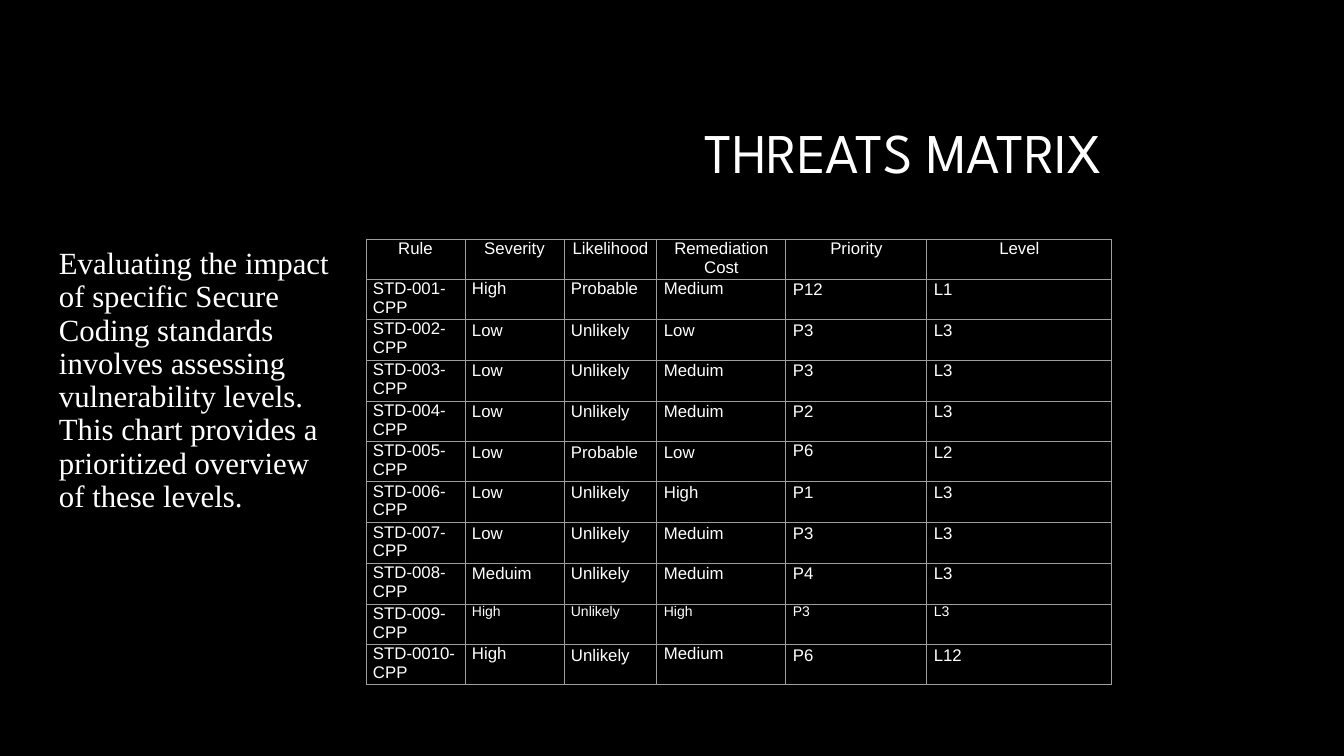
from lxml.etree import SubElement
from pptx import Presentation
from pptx.dml.color import RGBColor
from pptx.enum.text import MSO_ANCHOR, MSO_AUTO_SIZE, PP_ALIGN
from pptx.oxml.ns import qn
from pptx.util import Pt

PX = 914400 / 100.8
THEME = {
    "background": RGBColor.from_string("000000"),
    "text": RGBColor.from_string("FFFFFF"),
    "border": "9E9E9E",
    "title": {"name": "League Spartan", "size": Pt(40)},
    "body": {"name": "Times New Roman", "size": Pt(22)},
    "cell": {"name": "Arial", "size": Pt(12)},
    "small": {"name": "Arial", "size": Pt(10)},
}
HEADER = ["Rule", "Severity", "Likelihood", "Remediation Cost", "Priority", "Level"]
THREATS = [
    ["STD-001-CPP", "High", "Probable", "Medium", "P12", "L1"],
    ["STD-002-CPP", "Low", "Unlikely", "Low", "P3", "L3"],
    ["STD-003-CPP", "Low", "Unlikely", "Meduim", "P3", "L3"],
    ["STD-004-CPP", "Low", "Unlikely", "Meduim", "P2", "L3"],
    ["STD-005-CPP", "Low", "Probable", "Low", "P6", "L2"],
    ["STD-006-CPP", "Low", "Unlikely", "High", "P1", "L3"],
    ["STD-007-CPP", "Low", "Unlikely", "Meduim", "P3", "L3"],
    ["STD-008-CPP", "Meduim", "Unlikely", "Meduim", "P4", "L3"],
    ["STD-009-CPP", "High", "Unlikely", "High", "P3", "L3"],
    ["STD-0010-CPP", "High", "Unlikely", "Medium", "P6", "L12"],
]
COL_WIDTHS = [99, 99, 93, 129, 141, 185]
ROW_HEIGHTS = [40, 40, 40, 41, 40, 40, 41, 40, 41, 40, 40]
SMALL_ROW = 9
# Columns set at single spacing, by row; the rest are slightly looser
SINGLE_SPACED = {0: range(6), 1: range(4), 5: (0, 4), 9: range(6), 10: (0, 1, 3)}


def px(n):
    return round(n * PX)


def write(tf, text, style, align, spacing, insets):
    """Fill a text frame or table cell with one formatted paragraph."""
    for side, inset in zip(("left", "top", "right", "bottom"), insets):
        setattr(tf, f"margin_{side}", px(inset))
    p = getattr(tf, "text_frame", tf).paragraphs[0]
    p.alignment, p.line_spacing = align, spacing
    r = p.add_run()
    r.text = text
    for name, value in THEME[style].items():
        setattr(r.font, name, value)
    r.font.color.rgb = THEME["text"]


prs = Presentation()
prs.slide_width, prs.slide_height = px(1344), px(756)
s = prs.slides.add_slide(prs.slide_layouts[5])
s.background.fill.solid()
s.background.fill.fore_color.rgb = THEME["background"]

title = s.shapes.title
title.left, title.top, title.width, title.height = map(px, (162, 84, 950, 142))
tf = title.text_frame
tf.auto_size = MSO_AUTO_SIZE.NONE
tf.vertical_anchor = MSO_ANCHOR.MIDDLE
write(tf, "THREATS MATRIX", "title", PP_ALIGN.RIGHT, 0.9, (10, 5, 10, 5))

summary = s.shapes.add_textbox(*map(px, (24, 210, 322, 491)))
tf = summary.text_frame
tf.word_wrap = True
write(tf, "Evaluating the impact of specific Secure Coding standards involves assessing "
      "vulnerability levels. This chart provides a prioritized overview of these levels.",
      "body", PP_ALIGN.LEFT, 0.9, (35, 38, 10, 5))

rows = [HEADER] + THREATS
table = s.shapes.add_table(len(rows), len(HEADER), px(366), px(239),
                           px(sum(COL_WIDTHS)), px(sum(ROW_HEIGHTS))).table
table.horz_banding = False
for column, width in zip(table.columns, COL_WIDTHS):
    column.width = px(width)
for i, (row, height) in enumerate(zip(rows, ROW_HEIGHTS)):
    table.rows[i].height = px(height)
    for j, text in enumerate(row):
        cell = table.cell(i, j)
        single = j == 0 or j in SINGLE_SPACED.get(i, ())
        write(cell, text, "small" if i == SMALL_ROW and j else "cell",
              PP_ALIGN.LEFT if i else PP_ALIGN.CENTER,
              1.0 if single else 1.07, (7, 0, 7, 0))
        cell.text_frame.paragraphs[0].runs[0].font.bold = False
        tcPr = cell._tc.get_or_add_tcPr()
        for edge in ("lnL", "lnR", "lnT", "lnB"):
            ln = SubElement(tcPr, qn(f"a:{edge}"), w=str(Pt(0.75)))
            SubElement(SubElement(ln, qn("a:solidFill")), qn("a:srgbClr"), val=THEME["border"])
        cell.fill.background()

prs.save("out.pptx")
